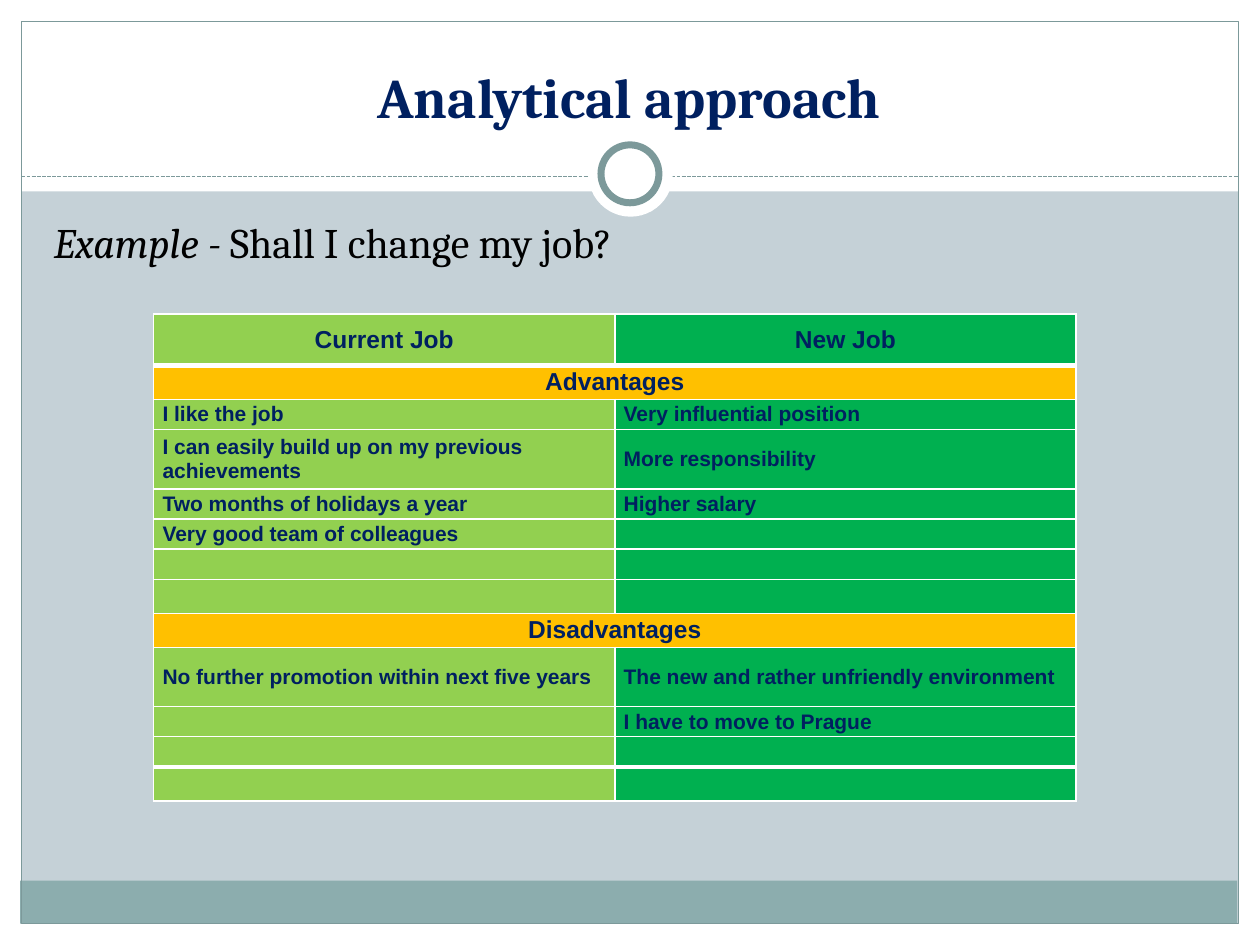
"""Build the "Analytical approach" slide with a job comparison table."""
from dataclasses import dataclass

from lxml import etree
from pptx import Presentation
from pptx.dml.color import RGBColor
from pptx.enum import dml, shapes, text
from pptx.oxml.ns import qn
from pptx.util import Inches, Pt


@dataclass(frozen=True)
class Theme:
    background: str = "C5D1D7"
    white: str = "FFFFFF"
    footer: str = "8CADAE"
    outline: str = "7C999A"
    navy: str = "002060"
    black: str = "000000"
    current: str = "92D050"
    new: str = "00B050"
    section: str = "FFC000"
    serif: str = "Cambria"
    sans: str = "Arial"
    title_size: int = 32
    body_size: int = 24
    heading_size: int = 14
    cell_size: int = 12


theme = Theme()


def add_run(paragraph, words, font, size, color, bold=False, italic=False):
    run = paragraph.add_run()
    run.text = words
    run.font.name = font
    run.font.size = Pt(size)
    run.font.bold = bold
    run.font.italic = italic
    run.font.color.rgb = RGBColor.from_string(color)


def add_panel(slide, kind, box, fill=None, line_width=None):
    shape = slide.shapes.add_shape(kind, *map(Inches, box))
    shape.shadow.inherit = False
    if fill:
        shape.fill.solid()
        shape.fill.fore_color.rgb = RGBColor.from_string(fill)
    else:
        shape.fill.background()
    if line_width:
        shape.line.width = Pt(line_width)
        shape.line.color.rgb = RGBColor.from_string(theme.outline)
    else:
        shape.line.fill.background()


presentation = Presentation()
presentation.slide_width = Inches(10)
presentation.slide_height = Inches(7.5)
slide = presentation.slides.add_slide(presentation.slide_layouts[5])
slide.background.fill.solid()
slide.background.fill.fore_color.rgb = RGBColor.from_string(theme.background)

rectangle, ellipse = shapes.MSO_SHAPE.RECTANGLE, shapes.MSO_SHAPE.OVAL
for margin in [(0, 7.33, 10, 0.17), (0, 0, 10, 1.52), (0, 0, 0.17, 7.5), (9.83, 0, 0.17, 7.5)]:
    add_panel(slide, rectangle, margin, theme.white)
add_panel(slide, rectangle, (0.16, 6.99, 9.66, 0.34), theme.footer)
add_panel(slide, rectangle, (0.17, 0.17, 9.66, 7.16), line_width=0.75)

divider = slide.shapes.add_connector(
    shapes.MSO_CONNECTOR.STRAIGHT, Inches(0.17), Inches(1.4), Inches(9.83), Inches(1.4))
divider.line.width = Pt(0.75)
divider.line.color.rgb = RGBColor.from_string(theme.outline)
divider.line.dash_style = dml.MSO_LINE.SQUARE_DOT
etree.SubElement(divider.element.spPr, qn("a:effectLst"))

add_panel(slide, ellipse, (4.67, 1.05, 0.67, 0.67), theme.white)
add_panel(slide, ellipse, (4.77, 1.15, 0.46, 0.46), theme.white, 4)

title = slide.shapes.title
title.element.getparent().append(title.element)
title.left, title.top, title.width, title.height = map(Inches, (0.33, 0.25, 9.33, 0.83))
title.text_frame.auto_size = text.MSO_AUTO_SIZE.NONE
title.text_frame.vertical_anchor = text.MSO_ANCHOR.BOTTOM
paragraph = title.text_frame.paragraphs[0]
paragraph.alignment = text.PP_ALIGN.CENTER
add_run(paragraph, "Analytical approach", theme.serif, theme.title_size, theme.navy, bold=True)

body = slide.shapes.add_textbox(*map(Inches, (0.33, 1.67, 9.08, 5)))
body.text_frame.word_wrap = True
paragraph = body.text_frame.paragraphs[0]
paragraph.space_before = Pt(4.8)
add_run(paragraph, "Example - ", theme.serif, theme.body_size, theme.black, italic=True)
add_run(paragraph, "Shall I change my job?", theme.serif, theme.body_size, theme.black)

rows = [
    (0.41, "Current Job", "New Job"),
    (0.27, "Advantages"),
    (0.24, "I like the job", "Very influential position"),
    (0.47, "I can easily build up on my previous achievements", "More responsibility"),
    (0.24, "Two months of holidays a year", "Higher salary"),
    (0.24, "Very good team of colleagues", ""),
    (0.24, "", ""),
    (0.27, "", ""),
    (0.27, "Disadvantages"),
    (0.47, "No further promotion within next five years", "The new and rather unfriendly environment"),
    (0.24, "", "I have to move to Prague"),
    (0.24, "", ""),
    (0.27, "", ""),
]
thick_rules = {1, len(rows) - 1}
height = sum(row[0] for row in rows)
table = slide.shapes.add_table(
    len(rows), 2, Inches(1.22), Inches(2.49), Inches(7.32), Inches(height)).table
table.first_row = False
table.horz_banding = False

for row_index, (row_height, *entries) in enumerate(rows):
    table.rows[row_index].height = Inches(row_height)
    is_section = len(entries) == 1
    is_heading = is_section or row_index == 0
    size = theme.heading_size if is_heading else theme.cell_size
    if is_section:
        table.cell(row_index, 0).merge(table.cell(row_index, 1))
        entries = [entries[0], ""]
    for column_index, words in enumerate(entries):
        cell = table.cell(row_index, column_index)
        cell.margin_left = cell.margin_right = Inches(0.07)
        cell.margin_top = cell.margin_bottom = 0
        cell.vertical_anchor = text.MSO_ANCHOR.MIDDLE
        paragraph = cell.text_frame.paragraphs[0]
        if is_heading:
            paragraph.alignment = text.PP_ALIGN.CENTER
        if words:
            add_run(paragraph, words, theme.sans, size, theme.navy, bold=True)
        else:
            etree.SubElement(paragraph._p, qn("a:endParaRPr"), sz=str(size * 100))

        properties = cell._tc.get_or_add_tcPr()
        top = 3 if row_index in thick_rules else 1
        bottom = 3 if row_index + 1 in thick_rules else 1
        for side, width in (("L", 1), ("R", 1), ("T", top), ("B", bottom)):
            border = etree.SubElement(properties, qn(f"a:ln{side}"), w=str(Pt(width)))
            fill = etree.SubElement(border, qn("a:solidFill"))
            etree.SubElement(fill, qn("a:srgbClr"), val=theme.white)
        color = theme.section if is_section else (theme.current, theme.new)[column_index]
        cell.fill.solid()
        cell.fill.fore_color.rgb = RGBColor.from_string(color)

presentation.save("out.pptx")
